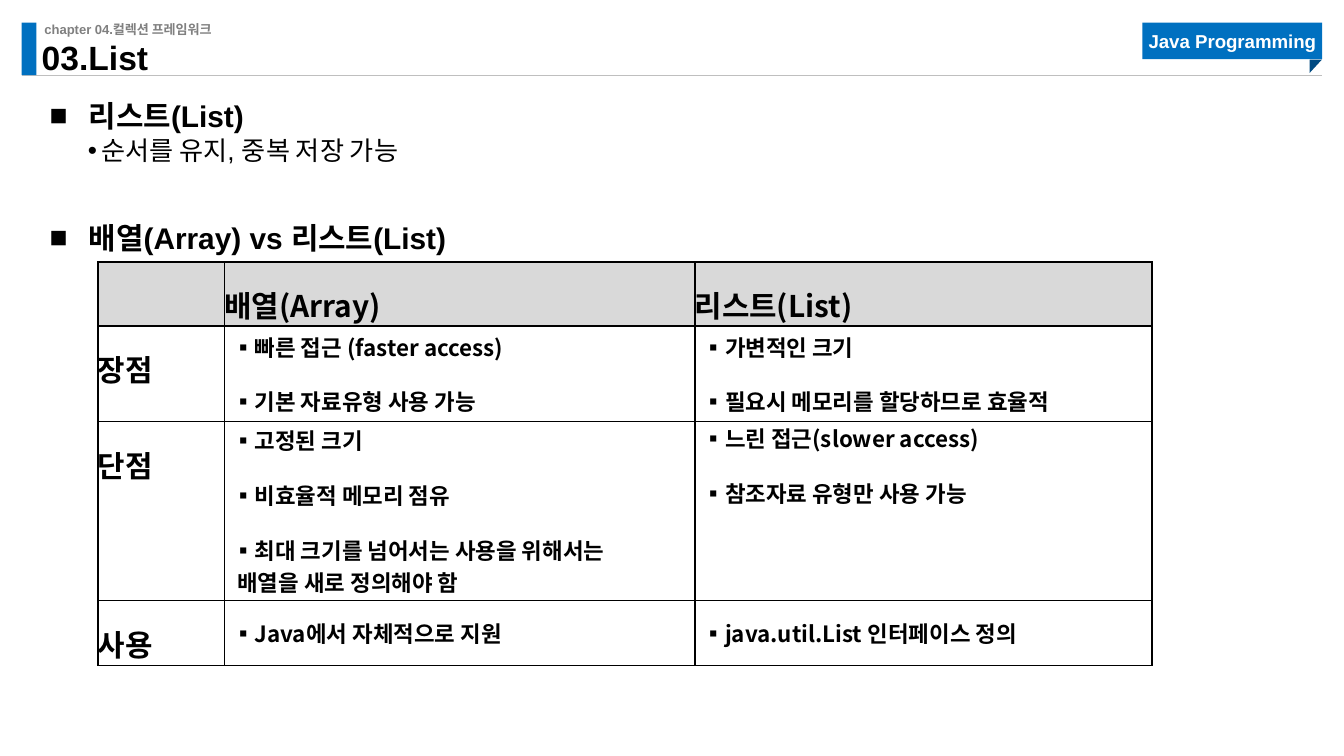
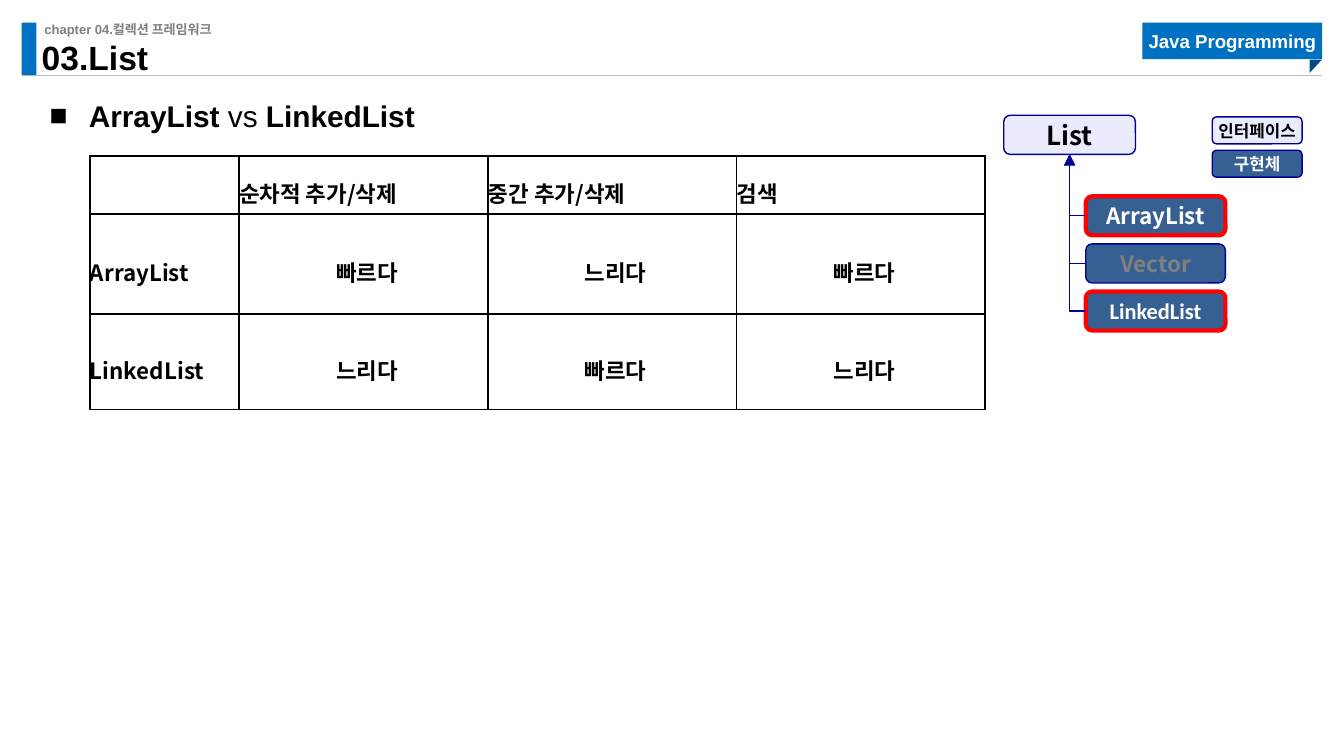
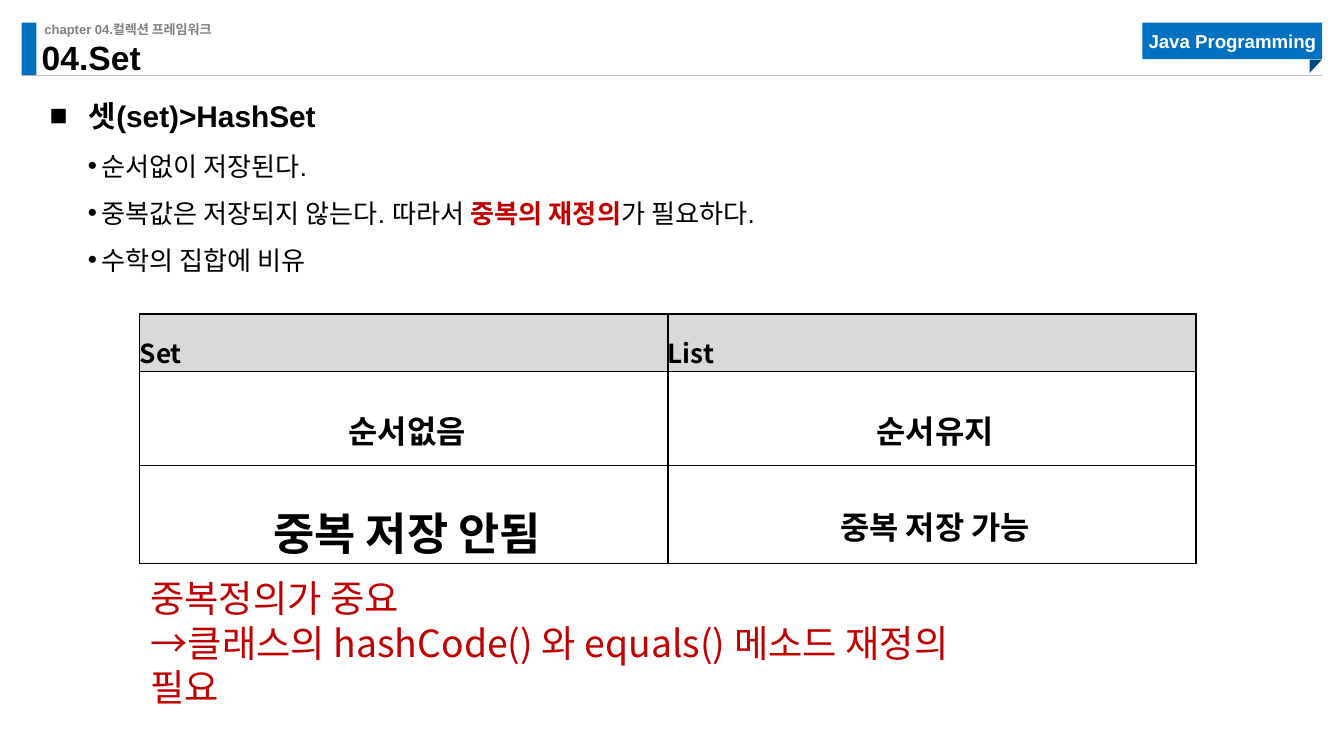
"""Build three lecture slides on the List and Set collections."""
from dataclasses import dataclass

from lxml.etree import SubElement
from pptx import Presentation
from pptx.dml.color import RGBColor
from pptx.enum.shapes import MSO_CONNECTOR, MSO_SHAPE
from pptx.enum.text import MSO_ANCHOR, PP_ALIGN
from pptx.oxml.ns import qn
from pptx.util import Cm, Pt


@dataclass(frozen=True)
class Theme:
    blue: RGBColor = RGBColor(0x00, 0x70, 0xC0)
    fold: RGBColor = RGBColor(0x00, 0x4A, 0x82)
    rule: RGBColor = RGBColor(0xBF, 0xBF, 0xBF)
    grey: RGBColor = RGBColor(0x80, 0x80, 0x80)
    header: RGBColor = RGBColor(0xD9, 0xD9, 0xD9)
    black: RGBColor = RGBColor(0, 0, 0)
    white: RGBColor = RGBColor(0xFF, 0xFF, 0xFF)
    accent: RGBColor = RGBColor(0xC0, 0, 0)
    lilac: RGBColor = RGBColor(0xEB, 0xEB, 0xFF)
    steel: RGBColor = RGBColor(0x37, 0x60, 0x92)
    navy: RGBColor = RGBColor(0, 0, 0x99)
    red: RGBColor = RGBColor(0xFF, 0, 0)
    latin: str = "Arial"
    korean: str = "Noto Sans CJK KR"
    plain: str = "Calibri"
    chapter: Pt = Pt(7)
    legend: Pt = Pt(9)
    course: Pt = Pt(10)
    small: Pt = Pt(12)
    medium: Pt = Pt(14)
    heading: Pt = Pt(16)
    fact: Pt = Pt(17)
    title: Pt = Pt(18)
    note: Pt = Pt(20)
    strong: Pt = Pt(24)


theme = Theme()


def place(slide, box, kind=None, fill=None, line=None, **frame_format):
    box = [Cm(length) for length in box]
    if kind is None:
        item = slide.shapes.add_textbox(*box)
    else:
        item = slide.shapes.add_shape(kind, *box)
        item.shadow.inherit = False
        item.fill.solid()
        item.fill.fore_color.rgb = fill
        if line:
            item.line.color.rgb, item.line.width = line
        else:
            item.line.fill.background()
    margins = dict.fromkeys(("margin_left", "margin_top", "margin_right", "margin_bottom"), 0)
    for name, value in {**margins, "word_wrap": True, **frame_format}.items():
        setattr(item.text_frame, name, value)
    return item


def write(frame, paragraphs, font, spacing=None, bullet=None):
    for number, runs in enumerate(paragraphs):
        paragraph = frame.add_paragraph() if number else frame.paragraphs[0]
        for name, value in (spacing or {}).items():
            setattr(paragraph, name, value)
        if bullet:
            mark, indent, hanging = bullet
            properties = paragraph._p.get_or_add_pPr()
            properties.set("marL", str(Cm(indent)))
            properties.set("indent", str(-Cm(hanging)))
            SubElement(properties, qn("a:buFont")).set("typeface", font["name"])
            SubElement(properties, qn("a:buChar")).set("char", mark)
        for text, changes in [(runs, {})] if isinstance(runs, str) else runs:
            for part, words in enumerate(text.split("\n")):
                if part:
                    paragraph.add_line_break()
                run = paragraph.add_run()
                run.text = words
                for name, value in {**font, **changes}.items():
                    setattr(run.font.color if name == "rgb" else run.font, name, value)
                SubElement(run._r.get_or_add_rPr(), qn("a:ea")).set("typeface", theme.korean)


centred = {"alignment": PP_ALIGN.CENTER}
heading_font = {"name": theme.latin, "size": theme.heading, "bold": True, "rgb": theme.black}
point_font = {**heading_font, "size": theme.medium, "bold": False}
cell_font = {**heading_font, "name": theme.korean}

topics = [
    {
        "title": "03.List",
        "headings": [(1.5, ["리스트(List)"]), (3.81, ["배열(Array) vs 리스트(List)"])],
        "points": ["순서를 유지, 중복 저장 가능"],
        "point_spacing": {},
        "table": {
            "corner": (1.85, 4.95),
            "columns": [2.39, 8.89, 8.64],
            "rows": [1.21, 1.81, 3.38, 1.23],
            "sizes": {"header": theme.heading, "label": theme.heading, "fact": theme.small},
            "fills": (theme.header, None),
            "labelled": True,
            "label_anchor": MSO_ANCHOR.TOP,
            "bulleted": True,
            "cells": [
                [[], ["배열(Array)"], ["리스트(List)"]],
                [["장점"], ["빠른 접근 (faster access)", "기본 자료유형 사용 가능"],
                 ["가변적인 크기", "필요시 메모리를 할당하므로 효율적"]],
                [["단점"], ["고정된 크기", "비효율적 메모리 점유",
                          "최대 크기를 넘어서는 사용을 위해서는\n 배열을 새로 정의해야 함"],
                 ["느린 접근(slower access)", "참조자료 유형만 사용 가능"]],
                [["사용"], ["Java에서 자체적으로 지원"], ["java.util.List 인터페이스 정의"]],
            ],
        },
    },
    {
        "title": "03.List",
        "headings": [(1.5, [[("ArrayList ", {}), ("vs ", {"bold": False}), ("LinkedList", {})]])],
        "points": [],
        "point_spacing": {},
        "table": {
            "corner": (1.7, 2.95),
            "columns": [2.82, 4.7, 4.7, 4.7],
            "rows": [1.09, 1.9, 1.8],
            "sizes": {"header": theme.small, "label": theme.small, "fact": theme.small},
            "fills": (theme.white, theme.white),
            "labelled": True,
            "label_anchor": MSO_ANCHOR.MIDDLE,
            "bulleted": False,
            "cells": [
                [[], ["순차적 추가/삭제"], ["중간 추가/삭제"], ["검색"]],
                [["ArrayList"], ["빠르다"], ["느리다"], ["빠르다"]],
                [["LinkedList"], ["느리다"], ["빠르다"], ["느리다"]],
            ],
        },
    },
    {
        "title": "04.Set",
        "headings": [(1.5, ["셋(set)>HashSet"])],
        "points": [
            "순서없이 저장된다.",
            [("중복값은 저장되지 않는다. 따라서 ", {}),
             ("중복의 재정의", {"rgb": theme.accent, "bold": True}),
             ("가 필요하다.", {})],
            "수학의 집합에 비유",
        ],
        "point_spacing": {"line_spacing": 1.5},
        "table": {
            "corner": (2.64, 5.94),
            "columns": [9.98, 9.98],
            "rows": [1.08, 1.78, 1.85],
            "sizes": {"header": theme.medium, "fact": theme.fact},
            "fills": (theme.header, theme.white),
            "labelled": False,
            "bulleted": False,
            "cells": [
                [["Set"], ["List"]],
                [["순서없음"], ["순서유지"]],
                [[[("중복 저장 안됨", {"size": theme.strong})]], ["중복 저장 가능"]],
            ],
        },
    },
]

deck = Presentation()
deck.slide_width, deck.slide_height = Cm(25.4), Cm(14.29)

for topic in topics:
    slide = deck.slides.add_slide(deck.slide_layouts[6])

    underline = slide.shapes.add_connector(
        MSO_CONNECTOR.STRAIGHT, Cm(0.41), Cm(1.42), Cm(24.99), Cm(1.42))
    underline.line.color.rgb, underline.line.width = theme.rule, Pt(0.5)
    SubElement(underline._element.spPr, qn("a:effectLst"))
    place(slide, (0.41, 0.43, 0.28, 0.99), MSO_SHAPE.RECTANGLE, theme.blue)
    chapter = place(slide, (0.84, 0.41, 8.2, 0.3))
    write(chapter.text_frame, ["chapter 04.컬렉션 프레임워크"],
          {**heading_font, "size": theme.chapter, "rgb": theme.grey})
    course = place(slide, (21.59, 0.43, 3.4, 0.69), MSO_SHAPE.RECTANGLE, theme.blue)
    write(course.text_frame, ["Java Programming"],
          {**heading_font, "size": theme.course, "rgb": theme.white}, centred)
    fold = place(slide, (24.74, 1.14, 0.25, 0.23), MSO_SHAPE.RIGHT_TRIANGLE, theme.fold)
    fold.rotation = 90
    title = place(slide, (0.79, 0.89, 8.38, 0.58), vertical_anchor=MSO_ANCHOR.BOTTOM)
    write(title.text_frame, [topic["title"]], {**heading_font, "size": theme.title},
          {"line_spacing": 0.9})

    for top, heading in topic["headings"]:
        write(place(slide, (0.94, top, 24.23, 0.84)).text_frame, heading, heading_font,
              {"line_spacing": 1.5}, ("■", 0.74, 0.74))
    points = topic["points"]
    if points:
        write(place(slide, (0.89, 2.54, 21.72, 0.9 * len(points))).text_frame, points,
              point_font, topic["point_spacing"], ("•", 1.02, 0.25))

    plan = topic["table"]
    left, top = plan["corner"]
    widths, heights = plan["columns"], plan["rows"]
    comparison = slide.shapes.add_table(
        len(heights), len(widths), Cm(left), Cm(top), Cm(sum(widths)), Cm(sum(heights))).table
    for column, width in zip(comparison.columns, widths):
        column.width = Cm(width)
    for row, height in zip(comparison.rows, heights):
        row.height = Cm(height)
    for r, entries in enumerate(plan["cells"]):
        fullest = max(len(entry) for entry in entries)
        for c, entry in enumerate(entries):
            cell = comparison.cell(r, c)
            if r == 0:
                role = "header"
            else:
                role = "label" if c == 0 and plan["labelled"] else "fact"
            size = plan["sizes"][role]
            spacing = {"line_spacing": 1.5, "space_before": int(size * 0.25)}
            inset, bullet, anchor = 0, None, MSO_ANCHOR.MIDDLE
            if role == "label":
                anchor = plan["label_anchor"]
            elif role == "fact" and plan["bulleted"]:
                inset, bullet, spacing = 0.15, ("▪", 0, 0), {"space_before": Pt(12)}
                anchor = MSO_ANCHOR.TOP if len(entry) < fullest else MSO_ANCHOR.MIDDLE
            elif role == "fact":
                inset, spacing = 0.13, {**spacing, **centred}
            cell_format = {"margin_left": Cm(inset), "margin_top": 0, "margin_right": 0,
                           "margin_bottom": 0, "vertical_anchor": anchor}
            for name, value in cell_format.items():
                setattr(cell, name, value)
            for side in ("a:lnL", "a:lnR", "a:lnT", "a:lnB"):
                border = SubElement(cell._tc.get_or_add_tcPr(), qn(side), w=str(Pt(1)))
                SubElement(SubElement(border, qn("a:solidFill")), qn("a:srgbClr"),
                           val=str(theme.black))
            fill = plan["fills"][r > 0]
            if fill:
                cell.fill.solid()
                cell.fill.fore_color.rgb = fill
            else:
                cell.fill.background()
            write(cell.text_frame, entry, {**cell_font, "size": size}, spacing, bullet)

hierarchy = deck.slides[1]
thin, thick = (theme.navy, Pt(0.75)), (theme.red, Pt(2.25))
nodes = [
    ("List", (18.97, 2.18, 2.49, 0.74), theme.lilac, thin, theme.korean, theme.medium, theme.black),
    ("ArrayList", (20.52, 3.71, 2.64, 0.74), theme.steel, thick, theme.korean, theme.small, theme.white),
    ("Vector", (20.52, 4.61, 2.64, 0.74), theme.steel, thin, theme.korean, theme.small, theme.grey),
    ("LinkedList", (20.52, 5.51, 2.64, 0.74), theme.steel, thick, theme.plain, theme.small, theme.white),
    ("인터페이스", (22.91, 2.21, 1.7, 0.51), theme.lilac, thin, theme.korean, theme.legend, theme.black),
    ("구현체", (22.91, 2.84, 1.7, 0.51), theme.steel, thin, theme.plain, theme.legend, theme.white),
]
drawn = []
for label, box, fill, line, face, size, colour in nodes:
    node = place(hierarchy, box, MSO_SHAPE.ROUNDED_RECTANGLE, fill, line, word_wrap=False)
    write(node.text_frame, [label],
          {"name": face, "size": size, "bold": True, "rgb": colour}, centred)
    drawn.append(node)

interface = drawn[0]
for implementation in drawn[1:4]:
    inherits = hierarchy.shapes.add_connector(
        MSO_CONNECTOR.ELBOW,
        implementation.left, implementation.top + implementation.height // 2,
        interface.left + interface.width // 2, interface.top + interface.height)
    inherits.begin_connect(implementation, 1)
    inherits.end_connect(interface, 2)
    inherits.line.color.rgb, inherits.line.width = thin
    outline = inherits._element.spPr
    outline.find(qn("a:prstGeom")).set("prst", "bentConnector2")
    SubElement(outline.find(qn("a:ln")), qn("a:tailEnd")).set("type", "triangle")
    SubElement(outline, qn("a:effectLst"))

advice = place(deck.slides[2], (2.59, 10.74, 16.64, 1.96), margin_left=Cm(0.25),
               margin_right=Cm(0.25), margin_top=Cm(0.13), margin_bottom=Cm(0.13))
write(advice.text_frame,
      ["중복정의가 중요", "→클래스의 hashCode() 와 equals() 메소드 재정의 필요"],
      {"name": theme.korean, "size": theme.note, "rgb": theme.accent})

deck.save("out.pptx")
